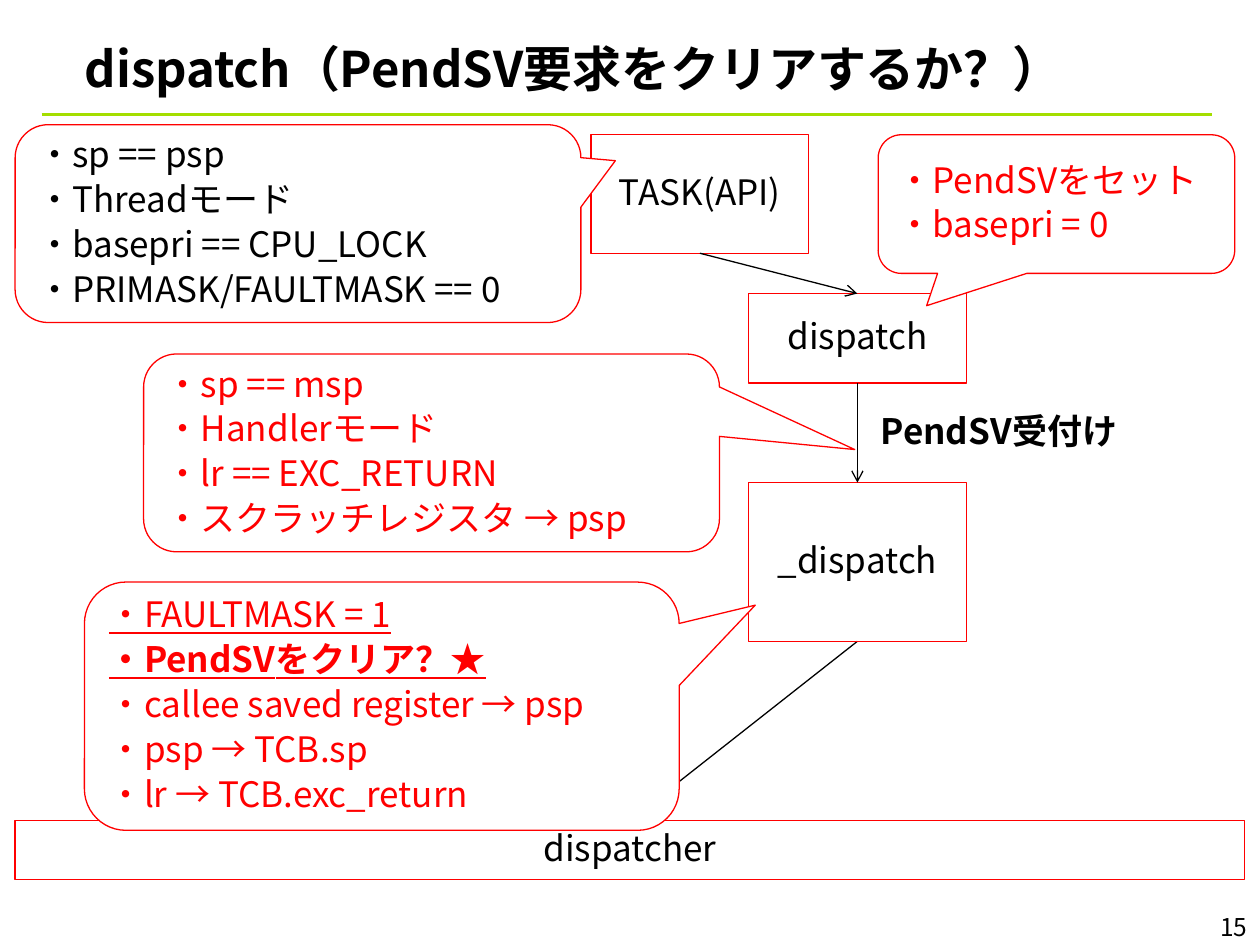
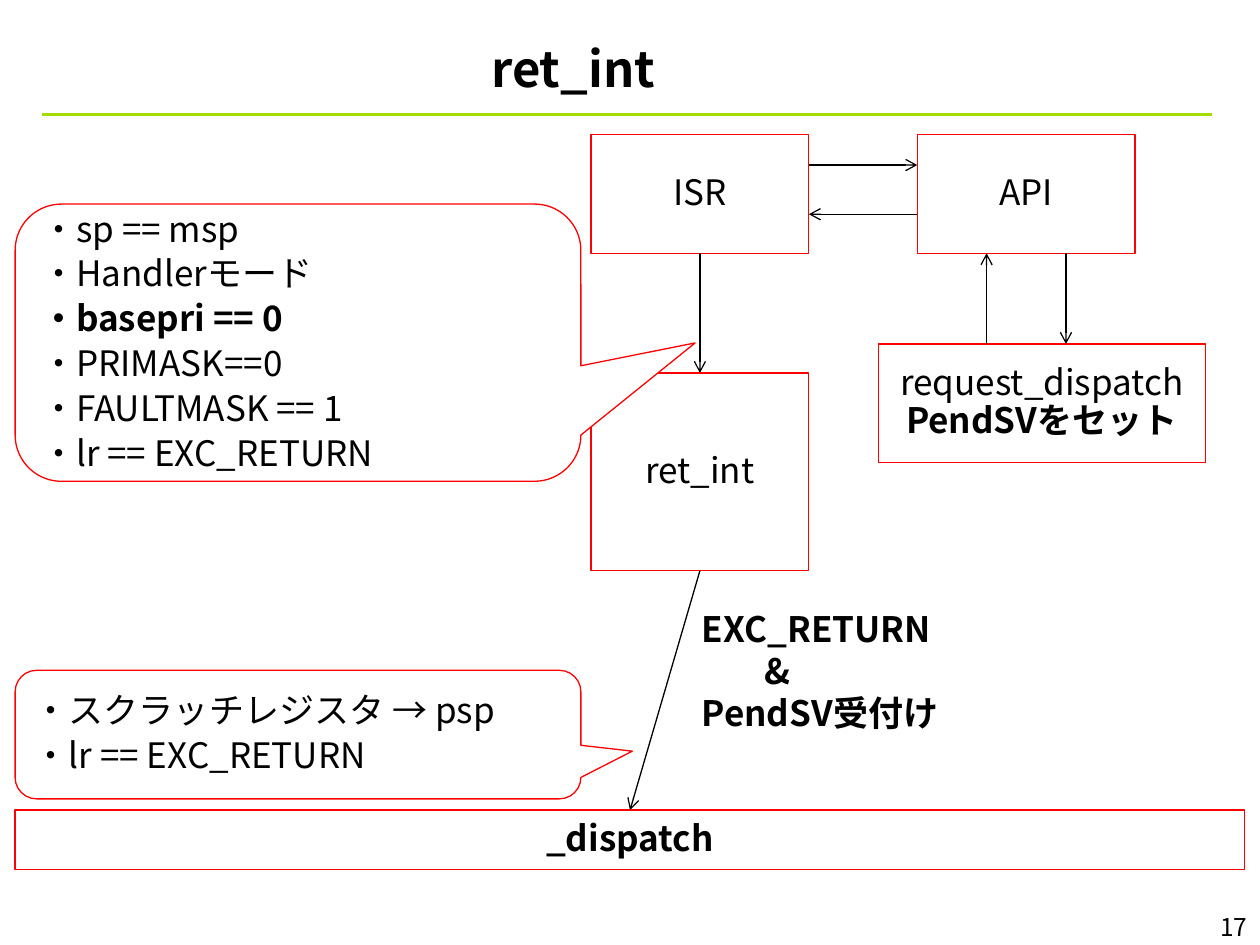
from dataclasses import dataclass
from typing import NamedTuple

from lxml import etree
from pptx import Presentation
from pptx import util as u
from pptx.dml.color import RGBColor
from pptx.enum import shapes, text
from pptx.oxml.ns import qn


# Shared look
@dataclass(frozen=True)
class Theme:
    font: str = "Noto Sans CJK JP"
    black: RGBColor = RGBColor(0, 0, 0)
    white: RGBColor = RGBColor(255, 255, 255)
    red: RGBColor = RGBColor(255, 0, 0)
    green: RGBColor = RGBColor(0xA4, 0xDE, 0)
    title_size: u.Pt = u.Pt(28)
    body_size: u.Pt = u.Pt(20)
    number_size: u.Pt = u.Pt(14)
    outline: u.Pt = u.Pt(0.75)
    rule: u.Pt = u.Pt(1.5)
    line_spacing: float = 0.9
    space_before: u.Pt = u.Pt(4)


THEME = Theme()
LEFT, CENTER, RIGHT = text.PP_ALIGN.LEFT, text.PP_ALIGN.CENTER, text.PP_ALIGN.RIGHT


# Parts of a diagram
class Frame(NamedTuple):
    left: float
    top: float
    width: float
    height: float

    @property
    def right(self) -> float:
        return self.left + self.width

    @property
    def bottom(self) -> float:
        return self.top + self.height

    @property
    def center(self) -> float:
        return self.left + self.width / 2

    def inches(self) -> list:
        return [u.Inches(value) for value in self]


class Line(NamedTuple):
    words: str
    bold: bool = False
    underline: bool = False


@dataclass(frozen=True)
class Node:
    frame: Frame
    name: str
    bold: bool = False
    second_row: str = ""


@dataclass(frozen=True)
class Callout:
    frame: Frame
    pointer: tuple[float, float]
    lines: list[Line]
    color: RGBColor = THEME.black


@dataclass(frozen=True)
class Label:
    frame: Frame
    lines: list[str]


@dataclass(frozen=True)
class Arrow:
    start: tuple[float, float]
    end: tuple[float, float]


# Drawing functions
def format_para(para, size, color=THEME.black, align=LEFT, bold=False, underline=False) -> None:
    para.alignment = align
    font = para.font
    font.name, font.size, font.bold = THEME.font, size, bold
    font.underline = underline
    font.color.rgb = color
    latin = para._p.pPr.find(qn("a:defRPr")).find(qn("a:latin"))
    east_asian = etree.Element(qn("a:ea"), typeface=THEME.font)
    latin.addnext(east_asian)


def tighten(para) -> None:
    para.line_spacing = THEME.line_spacing
    para.space_before = THEME.space_before


def paragraphs(frame, count: int) -> list:
    return [frame.paragraphs[0]] + [frame.add_paragraph() for _ in range(count - 1)]


def add_outlined(page, kind, frame: Frame):
    shape = page.shapes.add_shape(kind, *frame.inches())
    shape.shadow.inherit = False
    shape.line.color.rgb = THEME.red
    shape.line.width = THEME.outline
    shape.text_frame.word_wrap = True
    shape.text_frame.vertical_anchor = text.MSO_ANCHOR.MIDDLE
    return shape


def draw_node(page, node: Node) -> None:
    box = add_outlined(page, shapes.MSO_SHAPE.RECTANGLE, node.frame)
    box.fill.background()
    para = box.text_frame.paragraphs[0]
    para.add_run().text = node.name
    if node.second_row:
        para.add_line_break()
        span = para.add_run()
        span.text = node.second_row
        span.font.bold = True
    format_para(para, THEME.body_size, align=CENTER, bold=node.bold)
    tighten(para)


def draw_callout(page, callout: Callout) -> None:
    bubble = add_outlined(page, shapes.MSO_SHAPE.ROUNDED_RECTANGULAR_CALLOUT, callout.frame)
    bubble.fill.solid()
    bubble.fill.fore_color.rgb = THEME.white
    for index, value in enumerate((*callout.pointer, 0.167)):
        bubble.adjustments[index] = value
    paras = paragraphs(bubble.text_frame, len(callout.lines))
    for para, line in zip(paras, callout.lines):
        para.add_run().text = "・" + line.words
        format_para(para, THEME.body_size, callout.color, LEFT, line.bold, line.underline)
        tighten(para)


def draw_label(page, label: Label) -> None:
    box = page.shapes.add_textbox(*label.frame.inches())
    box.text_frame.word_wrap = True
    for para, words in zip(paragraphs(box.text_frame, len(label.lines)), label.lines):
        para.add_run().text = words
        format_para(para, THEME.body_size, bold=True)


def draw_line(page, start, end, color: RGBColor, width):
    points = [u.Inches(value) for value in (*start, *end)]
    line = page.shapes.add_connector(shapes.MSO_CONNECTOR.STRAIGHT, *points)
    line.line.color.rgb = color
    line.line.width = width
    etree.SubElement(line._element.spPr, qn("a:effectLst"))
    return line


def draw_arrow(page, arrow: Arrow) -> None:
    line = draw_line(page, arrow.start, arrow.end, THEME.black, THEME.outline)
    outline = line._element.spPr.find(qn("a:ln"))
    etree.SubElement(outline, qn("a:tailEnd"), type="arrow")


DRAW = {Node: draw_node, Callout: draw_callout, Label: draw_label, Arrow: draw_arrow}


def add_page(deck, title: str, number: int, parts: list) -> None:
    page = deck.slides.add_slide(deck.slide_layouts[0])
    subtitle = page.placeholders[1]._element
    subtitle.getparent().remove(subtitle)

    # Green rule and page number
    draw_line(page, (0.33, 0.91), (9.62, 0.91), THEME.green, THEME.rule)
    box = page.shapes.add_textbox(*Frame(9.17, 7.19, 0.83, 0.33).inches())
    box.text_frame.word_wrap = True
    para = box.text_frame.paragraphs[0]
    para.add_run().text = str(number)
    format_para(para, THEME.number_size, align=RIGHT)

    # Title
    heading = page.shapes.title
    heading.left, heading.top, heading.width, heading.height = Frame(0.23, 0.21, 8.64, 0.55).inches()
    frame = heading.text_frame
    frame.text = title
    frame.word_wrap = True
    frame.auto_size = text.MSO_AUTO_SIZE.NONE
    frame.vertical_anchor = text.MSO_ANCHOR.MIDDLE
    frame.margin_left = frame.margin_right = u.Inches(0.1)
    frame.margin_top, frame.margin_bottom = u.Inches(0.16), u.Inches(0.05)
    format_para(frame.paragraphs[0], THEME.title_size, align=CENTER, bold=True)

    for part in parts:
        DRAW[type(part)](page, part)


# Frames that both diagrams use
NODE_WIDTH, NODE_HEIGHT = 1.73, 0.94
FIRST_NODE = Frame(4.69, 1.07, NODE_WIDTH, NODE_HEIGHT)


def bottom_bar(top: float) -> Frame:
    return Frame(0.12, top, 9.76, 0.47)


def down(upper: Frame, lower: Frame) -> Arrow:
    return Arrow((upper.center, upper.bottom), (lower.center, lower.top))


def dispatch_parts() -> list:
    bar = bottom_bar(6.51)
    dispatch = Frame(5.94, 2.33, NODE_WIDTH, 0.71)
    handler = Frame(5.94, 3.83, NODE_WIDTH, 1.26)
    return [
        Node(bar, "dispatcher"),
        Node(dispatch, "dispatch"),
        Node(FIRST_NODE, "TASK(API)"),
        down(FIRST_NODE, dispatch),
        down(handler, bar),
        Callout(Frame(0.12, 0.99, 4.49, 1.57), (0.561, -0.318), [
            Line("sp == psp"),
            Line("Threadモード"),
            Line("basepri == CPU_LOCK"),
            Line("PRIMASK/FAULTMASK == 0"),
        ]),
        Callout(Frame(1.14, 2.81, 4.57, 1.57), (0.735, -0.017), [
            Line("sp == msp"),
            Line("Handlerモード"),
            Line("lr == EXC_RETURN"),
            Line("スクラッチレジスタ → psp"),
        ], THEME.red),
        Label(Frame(6.89, 3.2, 2.28, 0.44), ["PendSV受付け"]),
        Callout(Frame(6.97, 1.07, 2.83, 1.1), (-0.364, 0.733), [
            Line("PendSVをセット"),
            Line("basepri = 0"),
        ], THEME.red),
        Node(handler, "_dispatch"),
        down(dispatch, handler),
        Callout(Frame(0.67, 4.62, 4.72, 1.97), (0.628, -0.407), [
            Line("FAULTMASK = 1", underline=True),
            Line("PendSVをクリア？★", bold=True, underline=True),
            Line("callee saved register → psp"),
            Line("psp → TCB.sp"),
            Line("lr → TCB.exc_return"),
        ], THEME.red),
    ]


def ret_int_parts() -> list:
    bar = bottom_bar(6.43)
    api = Frame(7.28, 1.07, NODE_WIDTH, NODE_HEIGHT)
    request = Frame(6.97, 2.73, 2.6, NODE_HEIGHT)
    ret_int = Frame(4.69, 2.96, NODE_WIDTH, 1.57)
    return [
        Node(bar, "_dispatch", bold=True),
        Node(FIRST_NODE, "ISR"),
        down(FIRST_NODE, ret_int),
        Node(api, "API"),
        Arrow((FIRST_NODE.right, 1.31), (api.left, 1.31)),
        Arrow((api.left, 1.7), (FIRST_NODE.right, 1.7)),
        Label(Frame(5.47, 4.77, 2.52, 1.11), ["EXC_RETURN", "\t&", "PendSV受付け"]),
        Node(request, "request_dispatch", second_row="PendSVをセット"),
        Arrow((8.46, api.bottom), (8.46, request.top)),
        Arrow((7.83, request.top), (7.83, api.bottom)),
        Node(ret_int, "ret_int"),
        down(ret_int, bar),
        Callout(Frame(0.12, 1.62, 4.49, 2.2), (0.702, 0.001), [
            Line("sp == msp"),
            Line("Handlerモード"),
            Line("basepri == 0", bold=True),
            Line("PRIMASK==0"),
            Line("FAULTMASK == 1"),
            Line("lr == EXC_RETURN"),
        ]),
        Callout(Frame(0.12, 5.32, 4.49, 1.02), (0.591, 0.129), [
            Line("スクラッチレジスタ → psp"),
            Line("lr == EXC_RETURN"),
        ]),
    ]


def main() -> None:
    deck = Presentation()
    deck.slide_width, deck.slide_height = u.Inches(10), u.Inches(7.5)
    add_page(deck, "dispatch（PendSV要求をクリアするか？）", 15, dispatch_parts())
    add_page(deck, "ret_int", 17, ret_int_parts())
    deck.save("out.pptx")


main()
